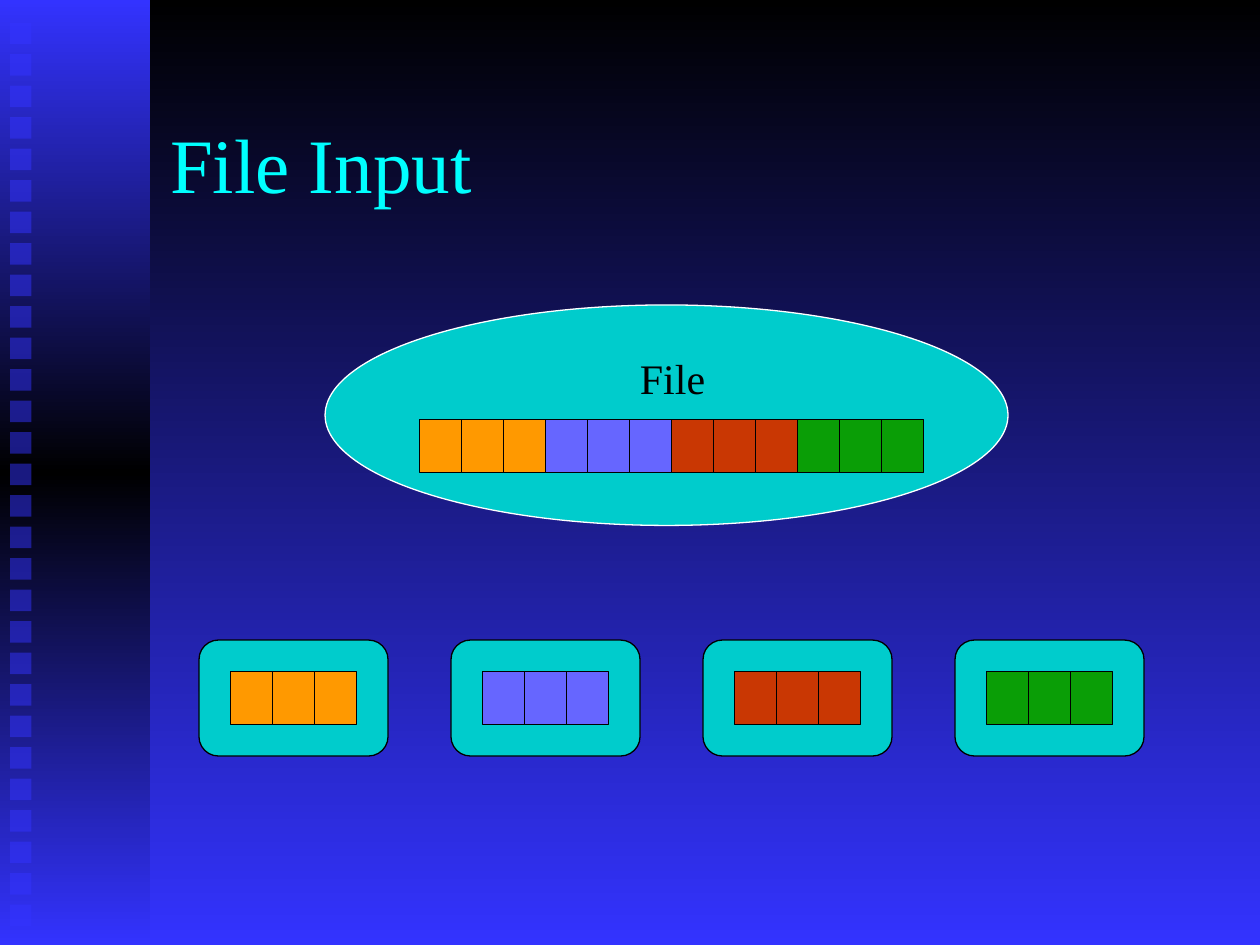
from copy import deepcopy

from pptx import Presentation
from pptx.dml.color import RGBColor
from pptx.enum.shapes import MSO_SHAPE
from pptx.enum.text import MSO_ANCHOR, MSO_AUTO_SIZE, PP_ALIGN
from pptx.oxml import parse_xml
from pptx.oxml.ns import nsdecls, qn
from pptx.util import Inches, Pt

BLACK = RGBColor(0x00, 0x00, 0x00)
WHITE = RGBColor(0xFF, 0xFF, 0xFF)
BLUE = RGBColor(0x33, 0x33, 0xFF)
CYAN = RGBColor(0x00, 0xFF, 0xFF)
TEAL = RGBColor(0x00, 0xCC, 0xCC)
ORANGE = RGBColor(0xFF, 0x99, 0x00)
VIOLET = RGBColor(0x66, 0x66, 0xFF)
RED = RGBColor(0xC9, 0x37, 0x03)
GREEN = RGBColor(0x0A, 0x9E, 0x06)

BLOCK_COLORS = [ORANGE, VIOLET, RED, GREEN]
CELLS_PER_BLOCK = 3
CELL_WIDTH, CELL_HEIGHT = 1 / 3, 0.42


class SlideBuilder:
    """Holds the style and the current slide."""

    font_name = "Times New Roman"
    line_width = Pt(0.75)

    def __init__(self, page):
        self.page = page

    def gradient(self, fill, colors):
        """Fill from top to bottom with evenly spaced colours."""
        fill.gradient()
        fill.gradient_angle = 270
        first_stop = fill._xPr.find(".//" + qn("a:gs"))
        for _ in colors[2:]:
            first_stop.addnext(deepcopy(first_stop))
        for index, (stop, color) in enumerate(zip(fill.gradient_stops, colors)):
            stop.position = index / (len(colors) - 1)
            stop.color.rgb = color

    def shape(self, kind, left, top, width, height, color=None, line=None, alpha=None):
        shape = self.page.shapes.add_shape(
            kind, Inches(left), Inches(top), Inches(width), Inches(height))
        shape.shadow.inherit = False
        if color is not None:
            shape.fill.solid()
            shape.fill.fore_color.rgb = color
        if alpha is not None:
            color_element = shape._element.spPr.find(".//" + qn("a:srgbClr"))
            color_element.append(parse_xml(
                f'<a:alpha {nsdecls("a")} val="{alpha * 1000}"/>'))
        if line is None:
            shape.line.fill.background()
        else:
            shape.line.color.rgb = line
            shape.line.width = self.line_width
        return shape

    def block(self, left, top, color):
        """Draw one block of adjoining data cells."""
        for index in range(CELLS_PER_BLOCK):
            self.shape(MSO_SHAPE.RECTANGLE, left + index * CELL_WIDTH, top,
                       CELL_WIDTH, CELL_HEIGHT, color, BLACK)

    def set_text(self, frame, text, size, color):
        para = frame.paragraphs[0]
        para.text = text
        para.alignment = PP_ALIGN.LEFT
        para.font.name = self.font_name
        para.font.size = Pt(size)
        para.font.color.rgb = color

    def title(self, text, left, top, width, height):
        title = self.page.shapes.title
        title.left, title.top = Inches(left), Inches(top)
        title.width, title.height = Inches(width), Inches(height)
        frame = title.text_frame
        frame.vertical_anchor = MSO_ANCHOR.MIDDLE
        frame.auto_size = MSO_AUTO_SIZE.NONE
        self.set_text(frame, text, 44, CYAN)

    def label(self, text, left, top, width, height):
        box = self.page.shapes.add_textbox(
            Inches(left), Inches(top), Inches(width), Inches(height))
        box.text_frame.word_wrap = False
        box.text_frame.auto_size = MSO_AUTO_SIZE.SHAPE_TO_FIT_TEXT
        self.set_text(box.text_frame, text, 24, BLACK)


def main():
    deck = Presentation()
    deck.slide_width, deck.slide_height = Inches(10), Inches(7.5)
    page = deck.slides.add_slide(deck.slide_layouts[5])
    builder = SlideBuilder(page)

    # Background and side band with its column of squares
    builder.gradient(page.background.fill, [BLACK, BLUE])
    band = builder.shape(MSO_SHAPE.RECTANGLE, 0, 0, 1.19, 7.5)
    builder.gradient(band.fill, [BLUE, BLACK, BLUE])
    for index in range(29):
        builder.shape(MSO_SHAPE.RECTANGLE, 0.08, 0.18 + index * 0.25,
                      0.17, 0.17, BLUE, alpha=50)

    builder.title("File Input", 1.25, 0.67, 8.5, 1.25)

    # The file
    builder.shape(MSO_SHAPE.OVAL, 2.58, 2.42, 5.42, 1.75, TEAL, WHITE)
    builder.label("File", 4.98, 2.75, 0.72, 0.5)

    # Each block in the file and in the box that reads it
    for index, color in enumerate(BLOCK_COLORS):
        reader_left = 1.58 + index * 2
        builder.shape(MSO_SHAPE.ROUNDED_RECTANGLE, reader_left, 5.08,
                      1.5, 0.92, TEAL, BLACK)
        builder.block(3.33 + index * CELLS_PER_BLOCK * CELL_WIDTH, 3.33, color)
        builder.block(reader_left + 0.25, 5.33, color)

    deck.save("out.pptx")


if __name__ == "__main__":
    main()
